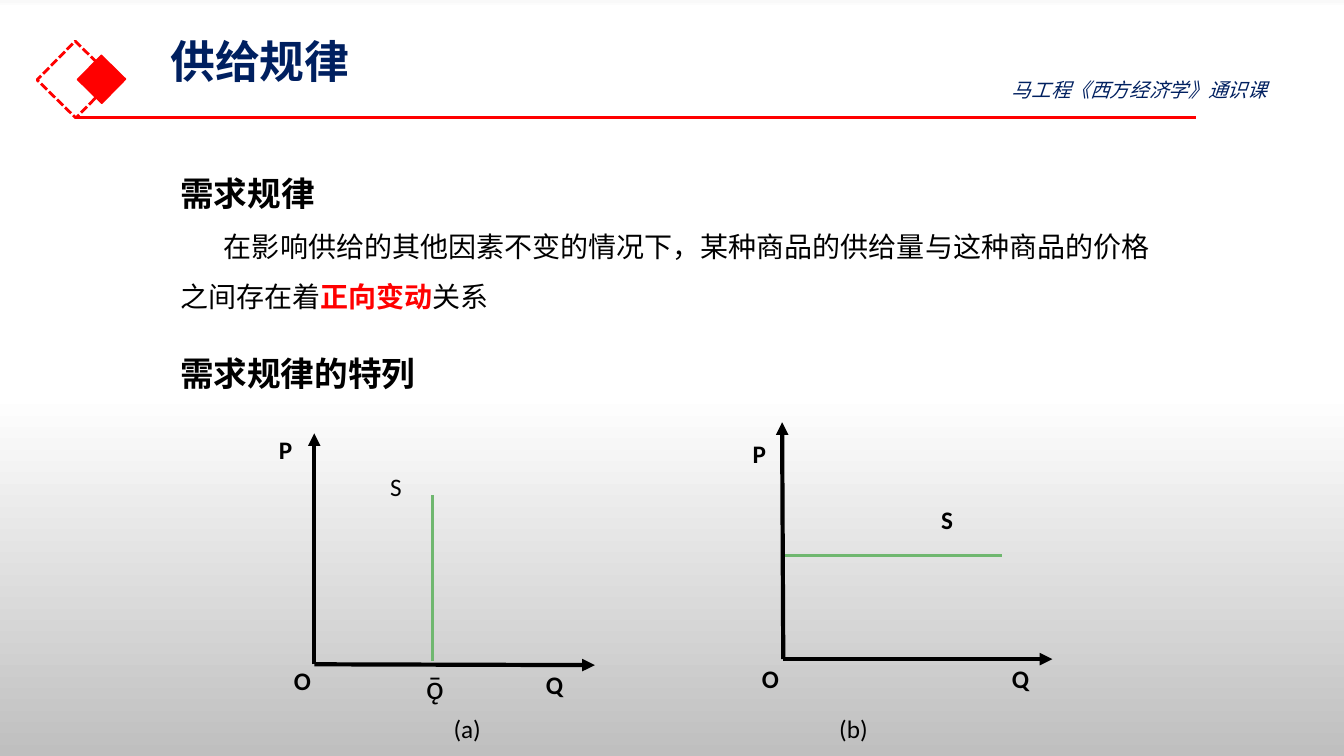
import pptx
import pptx.util
import pptx.dml.color
import pptx.enum.dml
import pptx.enum.shapes
import pptx.enum.text
import pptx.oxml
import pptx.oxml.ns
import lxml.etree

Cm = pptx.util.Cm
Pt = pptx.util.Pt
hue = pptx.dml.color.RGBColor.from_string
qn = pptx.oxml.ns.qn
enum = pptx.enum.text
HAN = "Noto Sans CJK SC"
ROMAN = "Calibri"
NAVY, RED, BLACK, GREEN = "002060", "FF0000", "000000", "6FB76F"


def write(para, text, color, form):
    run = para.add_run()
    run.text = text
    run.font.color.rgb = hue(color)
    for key, val in form.items():
        setattr(run.font, key, val)
    props = run.font._element
    lxml.etree.SubElement(props, qn("a:ea")).set("typeface", form["name"])


def place(shape, spot, form):
    for key, val in zip(("left", "top", "width", "height"), spot):
        setattr(shape, key, Cm(val))
    frame = shape.text_frame
    for key, val in form.items():
        setattr(frame, key, val)
    para = frame.paragraphs[0]
    para.alignment = enum.PP_ALIGN.LEFT
    para.space_before = Pt(0)
    return para


deck = pptx.Presentation()
deck.slide_width = Cm(33.87)
deck.slide_height = Cm(19.05)
slide = deck.slides.add_slide(deck.slide_layouts[1])
shapes = slide.shapes

back = slide.background.fill
back.gradient()
back.gradient_angle = 270
stops = slide.element.find(".//" + qn("a:gsLst"))
for stop in list(stops):
    stops.remove(stop)
for pos, color in ((0, "F9F9F9"), (1, "FFFFFF"), (52, "FFFFFF"), (100, "BFBFBF")):
    stop = lxml.etree.SubElement(stops, qn("a:gs"))
    stop.set("pos", str(pos * 1000))
    lxml.etree.SubElement(stop, qn("a:srgbClr")).set("val", color)

for left, top, size, width, solid in ((1.22, 1.32, 1.37, 2, False), (2.13, 1.57, 0.86, 1, True)):
    gem = shapes.add_shape(pptx.enum.shapes.MSO_SHAPE.RECTANGLE, Cm(left), Cm(top), Cm(size), Cm(size))
    gem.shadow.inherit = False
    gem.rotation = 314.5
    gem.line.color.rgb = hue(RED)
    gem.line.width = Pt(width)
    if solid:
        gem.fill.solid()
        gem.fill.fore_color.rgb = hue(RED)
    else:
        gem.fill.background()
        gem.line.dash_style = pptx.enum.dml.MSO_LINE.SQUARE_DOT

lines = (
    (1.9, 2.97, 30.15, 2.97, RED, 2.25),
    (19.71, 14, 25.25, 14, GREEN, 2.25),
    (19.74, 16.61, 26.52, 16.61, BLACK, 3),
    (19.74, 16.61, 19.71, 10.64, BLACK, 3),
    (10.9, 16.66, 10.9, 12.47, GREEN, 2.25),
    (7.92, 16.74, 7.92, 10.92, BLACK, 3),
    (7.92, 16.74, 14.99, 16.76, BLACK, 3),
)
for *ends, color, width in lines:
    line = shapes.add_connector(pptx.enum.shapes.MSO_CONNECTOR.STRAIGHT, *map(Cm, ends))
    line.line.color.rgb = hue(color)
    line.line.width = Pt(width)
    if color == BLACK:
        lxml.etree.SubElement(line.line._get_or_add_ln(), qn("a:tailEnd")).set("type", "triangle")
    lxml.etree.SubElement(line._element.spPr, qn("a:effectLst"))

fixed = {"word_wrap": True, "auto_size": enum.MSO_AUTO_SIZE.NONE, "vertical_anchor": enum.MSO_ANCHOR.TOP}
para = place(shapes.title, (4.04, 0.99, 29.21, 1.6), {**fixed, "margin_top": 0})
para.line_spacing = 0.9
write(para, "供给规律", NAVY, {"name": HAN, "size": Pt(32), "bold": True})

head = {"name": HAN, "size": Pt(24), "bold": True}
plain = {"name": HAN, "size": Pt(20), "bold": False}
body = shapes.placeholders[1]
first = place(body, (4.29, 3.71, 24.97, 4.37), fixed)
second = body.text_frame.add_paragraph()
for para, indent in ((first, 0), (second, 1.1)):
    props = para._p.get_or_add_pPr()
    props.set("marL", "0")
    props.set("indent", str(Cm(indent)))
    lxml.etree.SubElement(props, qn("a:buNone"))
    para.line_spacing = 1.5
    para.space_before = Pt(0)
write(first, "需求规律", BLACK, head)
write(second, "在影响供给的其他因素不变的情况下，某种商品的供给量与这种商品的价格之间存在着", BLACK, plain)
write(second, "正向变动", RED, {**plain, "bold": True})
write(second, "关系", BLACK, plain)

text = {"name": ROMAN, "size": Pt(18)}
notes = (
    ("马工程《西方经济学》通识课", (25.25, 1.85, 8.23, 0.86), NAVY, {"name": HAN, "size": Pt(14), "italic": True}, 1),
    ("需求规律的特列", (4.29, 8.26, 12.09, 1.63), BLACK, head, 1.5),
    ("S", (9.58, 11.76, 1.14, 1.02), BLACK, text, 1),
    ("(a)", (11.18, 17.86, 2.34, 1.02), BLACK, text, 1),
    ("(b)", (20.9, 17.86, 2.34, 1.02), BLACK, text, 1),
    ("ǭ", (10.49, 16.66, 1.35, 1.27), BLACK, {**text, "size": Pt(24)}, 1),
)
for words, spot, color, form, space in notes:
    para = place(shapes.add_textbox(0, 0, 0, 0), spot, fixed)
    para.line_spacing = space
    write(para, words, color, form)

loose = {**fixed, "word_wrap": False, "vertical_anchor": enum.MSO_ANCHOR.MIDDLE}
marks = (
    ("P", 6.78, 10.92), ("O", 7.16, 16.76), ("Q", 13.51, 16.84),
    ("P", 18.72, 11.02), ("O", 18.95, 16.71), ("Q", 25.25, 16.71), ("S", 23.47, 12.7),
)
for mark, left, top in marks:
    para = place(shapes.add_textbox(0, 0, 0, 0), (left, top, 0.76, 0.79), loose)
    write(para, mark, BLACK, {**text, "bold": True})

deck.save("out.pptx")
